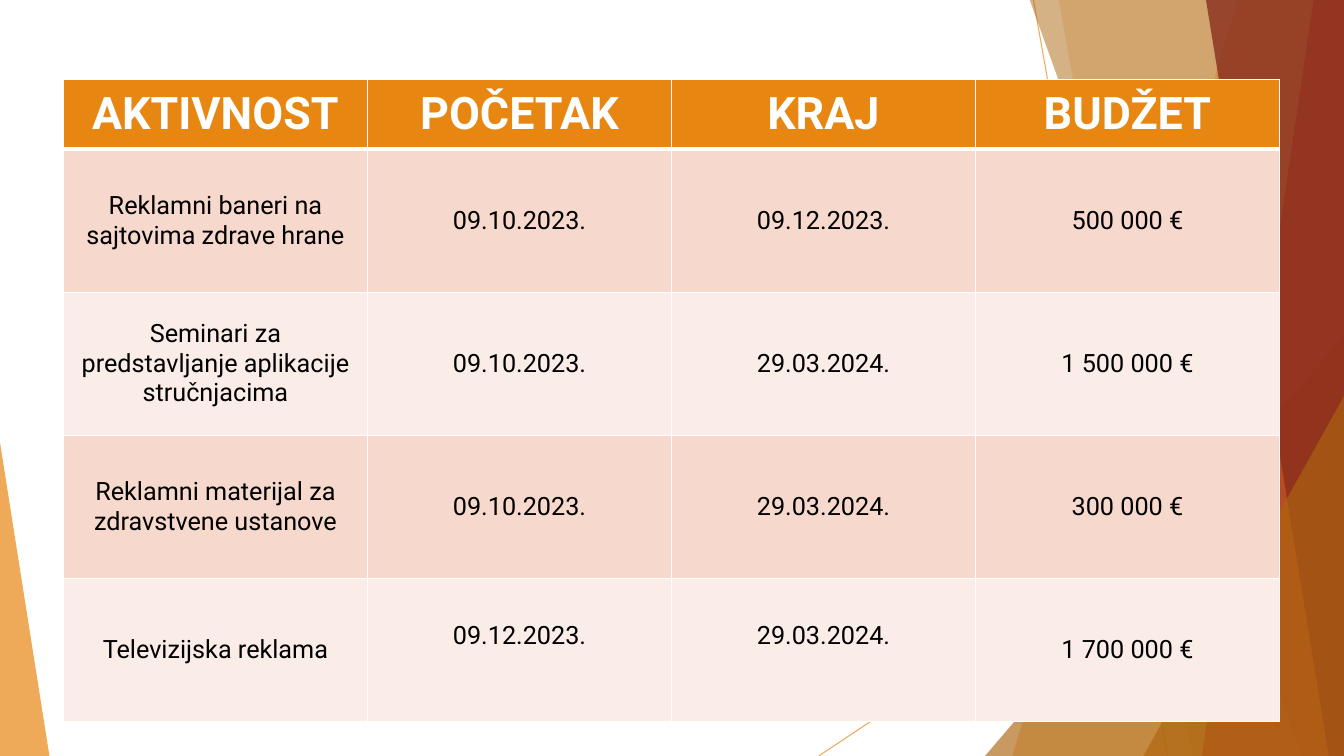
from lxml import etree
from pptx import Presentation
from pptx.dml.color import RGBColor
from pptx.enum.shapes import MSO_CONNECTOR, MSO_SHAPE
from pptx.enum.text import MSO_ANCHOR, PP_ALIGN
from pptx.oxml.ns import qn
from pptx.util import Inches, Pt

STRAIGHT = MSO_CONNECTOR.STRAIGHT
TRIANGLE = MSO_SHAPE.ISOSCELES_TRIANGLE
MIDDLE = MSO_ANCHOR.MIDDLE
CENTER = PP_ALIGN.CENTER

ORANGE = RGBColor(0xE7, 0x87, 0x12)
BROWN = RGBColor(0xAD, 0x65, 0x0E)
RED = RGBColor(0xB7, 0x3C, 0x26)
DARK_RED = RGBColor(0x89, 0x2D, 0x1D)
BAND_DARK = RGBColor(0xF6, 0xD9, 0xCC)
BAND_LIGHT = RGBColor(0xFA, 0xED, 0xE7)
WHITE = RGBColor(0xFF, 0xFF, 0xFF)
BLACK = RGBColor(0, 0, 0)

WIDTH, HEIGHT = 13.33, 7.5
TOP = -0.01


def set_opacity(shape, percent):
    for color in shape._element.spPr.iter(qn("a:srgbClr")):
        etree.SubElement(color, qn("a:alpha"), val=str(percent * 1000))


def write_cell(cell, text, *, size, color, bold, fill, top_rule, bottom_rule):
    """Fill a table cell with centred text, white borders and a background."""
    cell.text = text
    cell.vertical_anchor = MIDDLE
    paragraph = cell.text_frame.paragraphs[0]
    paragraph.alignment = CENTER
    font = paragraph.runs[0].font
    font.name, font.size, font.bold = "Roboto", Pt(size), bold
    font.color.rgb = color
    properties = cell._tc.get_or_add_tcPr()
    for side, points in (("L", 1), ("R", 1), ("T", top_rule), ("B", bottom_rule)):
        border = etree.SubElement(properties, qn("a:ln" + side), w=str(Pt(points)))
        solid = etree.SubElement(border, qn("a:solidFill"))
        etree.SubElement(solid, qn("a:srgbClr"), val=str(WHITE))
    cell.fill.solid()
    cell.fill.fore_color.rgb = fill


prs = Presentation()
prs.slide_width, prs.slide_height = Inches(WIDTH), Inches(HEIGHT)
slide = prs.slides.add_slide(prs.slide_layouts[6])
shapes = slide.shapes

# Thin rays behind the facets
for ray in ((10.25, 0, 11.58, HEIGHT), (WIDTH, 4.03, 8.12, HEIGHT)):
    line = shapes.add_connector(STRAIGHT, *map(Inches, ray))
    line.line.color.rgb = ORANGE
    line.line.width = Pt(0.75)
    etree.SubElement(line._element.spPr, qn("a:effectLst"))
    set_opacity(line, 70)

# Bands run from the top edge to the bottom edge and end at the right side:
# ("band", top x, bottom x); triangles: ("triangle", left, top, width, apex)
facets = [
    (("band", 12.28, 10.04), ORANGE, 36),
    (("band", 10.5, 11.83), ORANGE, 20),
    (("triangle", 9.77, 3.33, 3.56, 1), BROWN, 66),
    (("band", 10.21, 12.91), BROWN, 50),
    (("band", 13.03, 11.92), RED, 70),
    (("band", 11.96, 13.18), DARK_RED, 80),
    (("triangle", 11.34, 3.93, 1.99, 1), BROWN, 66),
    (("triangle", 0, 4.39, 0.49, 0), ORANGE, 70),
]
for (kind, *geometry), color, opacity in facets:
    if kind == "band":
        top_x, bottom_x = geometry
        outline = shapes.build_freeform(Inches(top_x), Inches(TOP))
        corners = [(WIDTH, TOP), (WIDTH, HEIGHT), (bottom_x, HEIGHT)]
        outline.add_line_segments([(Inches(x), Inches(y)) for x, y in corners])
        facet = outline.convert_to_shape()
    else:
        left, top, width, apex = geometry
        facet = shapes.add_shape(TRIANGLE, Inches(left), Inches(top),
                                 Inches(width), Inches(HEIGHT - top))
        facet.adjustments[0] = apex
    facet.shadow.inherit = False
    facet.fill.solid()
    facet.fill.fore_color.rgb = color
    facet.line.fill.background()
    set_opacity(facet, opacity)

# Activity plan
plan = [
    ("AKTIVNOST", "POČETAK", "KRAJ", "BUDŽET"),
    ("Reklamni baneri na sajtovima zdrave hrane", "09.10.2023.", "09.12.2023.", "500 000 €"),
    ("Seminari za predstavljanje aplikacije stručnjacima", "09.10.2023.", "29.03.2024.", "1 500 000 €"),
    ("Reklamni materijal za zdravstvene ustanove", "09.10.2023.", "29.03.2024.", "300 000 €"),
    ("Televizijska reklama", "09.12.2023.", "29.03.2024.", "1 700 000 €"),
]
HEADER_HEIGHT, ROW_HEIGHT = 0.69, 1.42
table_height = HEADER_HEIGHT + ROW_HEIGHT * (len(plan) - 1)
table = shapes.add_table(len(plan), len(plan[0]), Inches(0.63), Inches(0.79),
                         Inches(12.06), Inches(table_height)).table

for r, activity in enumerate(plan):
    header = r == 0
    table.rows[r].height = Inches(HEADER_HEIGHT if header else ROW_HEIGHT)
    band = BAND_DARK if r % 2 else BAND_LIGHT
    for c, text in enumerate(activity):
        write_cell(table.cell(r, c), text,
                   size=32 if header else 18,
                   color=WHITE if header else BLACK,
                   bold=header,
                   fill=ORANGE if header else band,
                   top_rule=3 if r == 1 else 1,
                   bottom_rule=3 if header else 1)

# The dates of the last activity sit half a line higher
for c in (1, 2):
    table.cell(len(plan) - 1, c).margin_bottom = Inches(0.34)

prs.save("out.pptx")
